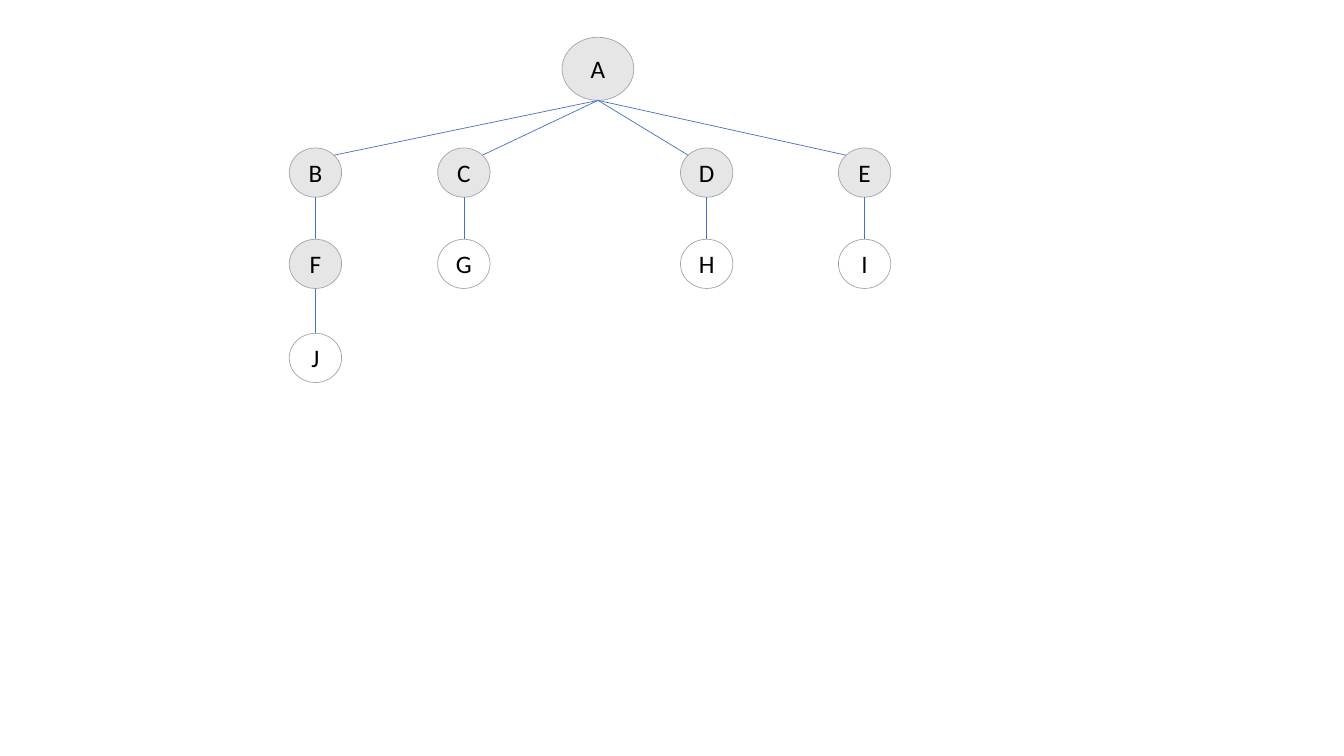
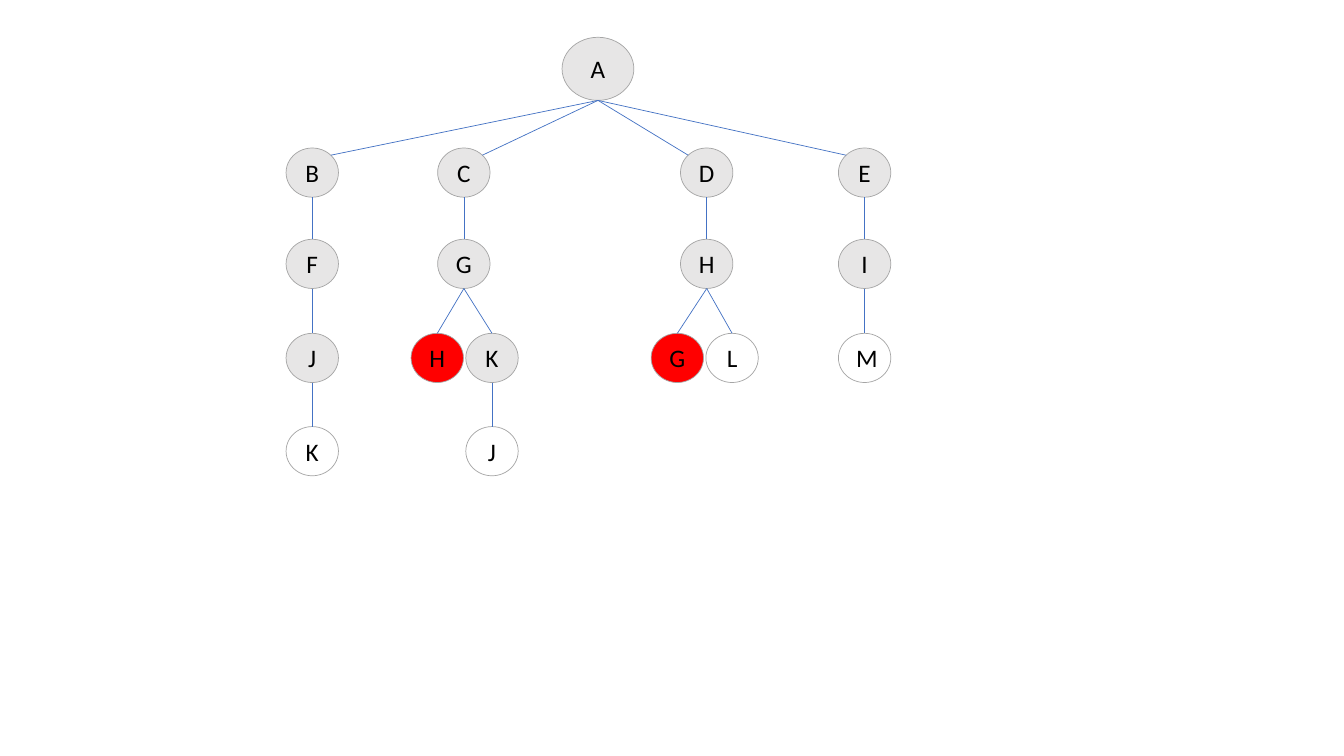
from dataclasses import dataclass
from math import sqrt

from lxml.etree import SubElement
from pptx import Presentation
from pptx.dml.color import RGBColor
from pptx.enum.shapes import MSO_CONNECTOR as Line, MSO_SHAPE as Shape
from pptx.enum.text import MSO_ANCHOR as Anchor, PP_ALIGN as Align
from pptx.oxml.ns import qn
from pptx.util import Cm, Pt

EXPANDED = RGBColor(0xE7, 0xE6, 0xE6)
OPEN = RGBColor(0xFF, 0xFF, 0xFF)
PRUNED = RGBColor(0xFF, 0x00, 0x00)
OUTLINE = RGBColor(0xA5, 0xA5, 0xA5)
BRANCH = RGBColor(0x44, 0x72, 0xC4)
INK = RGBColor(0x00, 0x00, 0x00)

# All lengths below are centimetres.
ROW_TOPS = [0.94, 3.73, 6.03, 8.4, 10.75]
ROOT_SIZE = (1.81, 1.59)
STATE_SIZE = (1.32, 1.24)
ROOT_X, C_X, D_X, E_X = 15.07, 11.69, 17.81, 21.79


@dataclass
class State:
    """A state of the search tree, with its centre x and successors."""
    label: str
    x: float
    fill: RGBColor
    children: tuple = ()


def write(frame, text, font="Calibri", size=18, color=INK, align=Align.CENTER):
    """Put formatted text into a text frame."""
    frame.word_wrap = True
    frame.vertical_anchor = Anchor.MIDDLE
    paragraph = frame.paragraphs[0]
    paragraph.alignment = align
    run = paragraph.add_run()
    run.text = text
    run.font.name = font
    run.font.size = Pt(size)
    run.font.color.rgb = color


class TreeDeck:
    """Holds the deck style and the slide being drawn."""

    line_width = Pt(0.5)

    def __init__(self):
        """Start a widescreen deck."""
        self.deck = Presentation()
        self.deck.slide_width = Cm(33.87)
        self.deck.slide_height = Cm(19.05)
        self.slide = None

    def add_slide(self):
        """Make a new blank slide current."""
        self.slide = self.deck.slides.add_slide(self.deck.slide_layouts[6])

    def circle(self, state, top, size):
        """Draw one labelled state."""
        width, height = size
        circle = self.slide.shapes.add_shape(
            Shape.OVAL, Cm(state.x - width / 2), Cm(top), Cm(width), Cm(height))
        circle.shadow.inherit = False
        circle.fill.solid()
        circle.fill.fore_color.rgb = state.fill
        circle.line.color.rgb = OUTLINE
        circle.line.width = self.line_width
        write(circle.text_frame, state.label)

    def branch(self, start, end):
        """Draw a straight branch between two points."""
        branch = self.slide.shapes.add_connector(
            Line.STRAIGHT, *(Cm(length) for length in (*start, *end)))
        branch.line.color.rgb = BRANCH
        branch.line.width = self.line_width
        SubElement(branch._element.spPr, qn("a:effectLst"))

    def tree(self, state, depth=0):
        """Draw a state, then its successors and the branches to them."""
        size = STATE_SIZE if depth else ROOT_SIZE
        self.circle(state, ROW_TOPS[depth], size)
        bottom = ROW_TOPS[depth] + size[1]
        for child in state.children:
            self.tree(child, depth + 1)
            end_x, end_y = child.x, ROW_TOPS[depth + 1]
            if depth == 0:  # root branches meet the rim at 45 degrees
                reach = STATE_SIZE[0] / 2 / sqrt(2)
                end_x += reach if child.x < state.x else -reach
                end_y += STATE_SIZE[1] / 2 * (1 - 1 / sqrt(2))
            self.branch((state.x, bottom), (end_x, end_y))


def chain(x, labels, fills, tail=()):
    """Return states stacked in one column, the last one leading to tail."""
    for label, fill in reversed(list(zip(labels, fills))):
        tail = (State(label, x, fill, tail),)
    return tail[0]


def root(*children):
    """Return the start state with its successors."""
    return State("A", ROOT_X, EXPANDED, children)


early_search = root(
    chain(7.95, "BFJ", [EXPANDED, EXPANDED, OPEN]),
    chain(C_X, "CG", [EXPANDED, OPEN]),
    chain(D_X, "DH", [EXPANDED, OPEN]),
    chain(E_X, "EI", [EXPANDED, OPEN]),
)

later_search = root(
    chain(7.87, "BFJK", [EXPANDED] * 3 + [OPEN]),
    chain(C_X, "CG", [EXPANDED] * 2,
          (chain(12.4, "KJ", [EXPANDED, OPEN]), State("H", 11.02, PRUNED))),
    chain(D_X, "DH", [EXPANDED] * 2,
          (State("L", 18.45, OPEN), State("G", 17.07, PRUNED))),
    chain(E_X, "EIM", [EXPANDED] * 2 + [OPEN]),
)

drawing = TreeDeck()
for search in (early_search, later_search):
    drawing.add_slide()
    drawing.tree(search)
drawing.deck.save("out.pptx")
